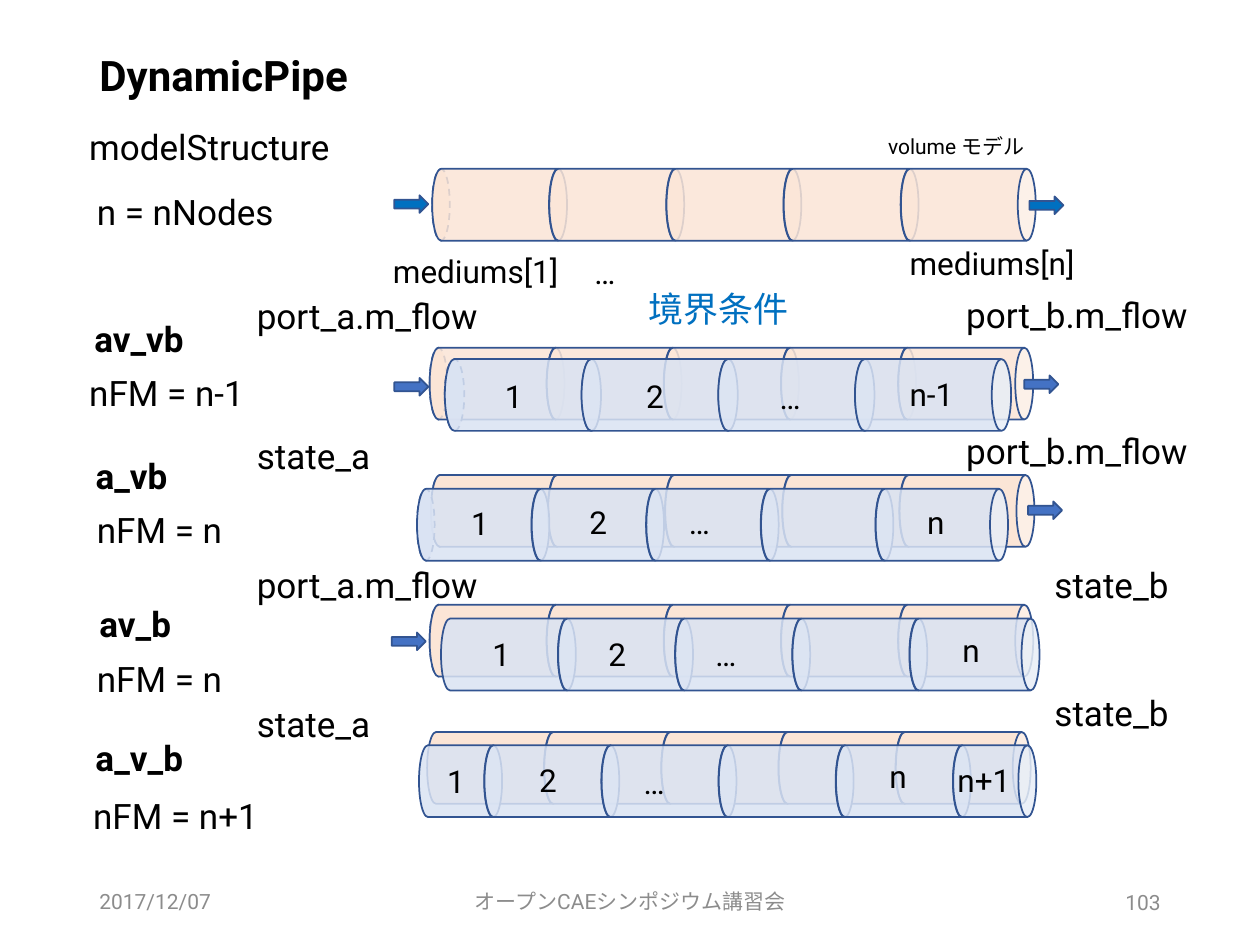
from dataclasses import dataclass

from lxml import etree
from pptx import Presentation
from pptx import util as u
from pptx.dml.color import RGBColor
from pptx.enum import dml, shapes, text
from pptx.oxml import ns

BLACK = RGBColor(0x00, 0x00, 0x00)
GREY = RGBColor(0x8C, 0x8C, 0x8C)
BLUE = RGBColor(0x00, 0x70, 0xC0)
ARROW_BLUE = RGBColor(0x44, 0x72, 0xC4)
OUTLINE = RGBColor(0x32, 0x54, 0x91)
VOLUME = RGBColor(0xFB, 0xE5, 0xD6)
FLOW = RGBColor(0xDA, 0xE3, 0xF3)

# Grid of 100 columns by 75 rows
WIDTH, HEIGHT = u.Inches(10), u.Inches(7.5)
COL, ROW = WIDTH // 100, HEIGHT // 75
PIPE = 5.7           # pipe diameter in rows
CAP = 1.4            # width of a pipe's end ellipse in columns
VOLUMES = [10.7] * 5
CENTER, RIGHT = text.PP_ALIGN.CENTER, text.PP_ALIGN.RIGHT


@dataclass
class Case:
    """One modelStructure option; offsets are rows from the pipe's top."""
    name: tuple           # text, column, offset
    equation: tuple
    inlet: tuple
    outlet: tuple
    top: float
    left: float
    flow_left: float
    flow_drop: float
    flow_lengths: list
    numbers: list         # text, column, offset
    arrows: list          # column, offset
    volume_alpha: int = 100
    flow_cap: float = CAP
    volume_back: bool = True
    flow_back: bool = True


CASES = [
    Case(("av_vb", 6.5, -2.9), ("nFM = n-1", 6.1, 1.4),
         ("port_a.m_flow", 19.4, -4.7), ("port_b.m_flow", 75.7, -4.8),
         27.6, 34.1, 35.3, 0.9, [12.4] * 4,
         [("1", 39.1, 1.8), ("2", 50.3, 1.8), ("…", 60.9, 1.9),
          ("n-1", 71.2, 1.7)],
         [(31.3, 2.4), (81.3, 2.2)], volume_alpha=85, flow_cap=1.55),
    Case(("a_vb", 6.6, -2.1), ("nFM = n", 6.7, 2.2),
         ("state_a", 19.4, -3.7), ("port_b.m_flow", 75.7, -4.1),
         37.7, 34.2, 33.1, 1.1, [10.5] * 5,
         [("1", 36.4, 1.8), ("2", 45.8, 1.7), ("…", 53.7, 1.7),
          ("n", 72.6, 1.7)],
         [(81.6, 2.1)]),
    Case(("av_b", 6.9, -0.7), ("nFM = n", 6.7, 3.7),
         ("port_a.m_flow", 19.4, -3.8), ("state_b", 82.7, -3.8),
         48, 34.1, 35, 1.1, [10.7] * 4 + [10.3],
         [("1", 38.1, 1.9), ("2", 47.3, 1.9), ("…", 55.8, 1.9),
          ("n", 75.4, 1.6)],
         [(31.1, 2.2)], flow_back=False),
    Case(("a_v_b", 6.6, -0.1), ("nFM = n+1", 6.4, 4.5),
         ("state_a", 19.4, -2.8), ("state_b", 82.7, -3.7),
         58.1, 33.9, 33.25, 1.05, [6.6] + [10.7] * 4 + [6.6],
         [("1", 34.5, 1.9), ("2", 41.8, 1.8), ("…", 50.1, 2),
          ("n", 69.6, 1.5), ("n+1", 75, 1.8)],
         [], volume_back=False, flow_back=False),
]


def label_cols(words, size):
    """Columns a one-line label needs; Japanese letters are a full em wide."""
    ems = sum(1.08 if letter >= "\u3000" else 0.58 for letter in words)
    return ems * size * 10 / 72 + 2


def add_label(slide, words, col, row, size=20, color=BLACK, bold=False,
              box=None, align=None, anchor=text.MSO_ANCHOR.TOP):
    """Text at a grid position; it wraps only when a box size is given."""
    cols, rows = box or (label_cols(words, size), size * 0.16 + 1.1)
    label = slide.shapes.add_textbox(int(col * COL), int(row * ROW),
                                     int(cols * COL), int(rows * ROW))
    frame = label.text_frame
    frame.word_wrap = box is not None
    frame.vertical_anchor = anchor
    paragraph = frame.paragraphs[0]
    paragraph.text = words
    if align is not None:
        paragraph.alignment = align
    font = paragraph.font
    font.name, font.size, font.bold = "Roboto", u.Pt(size), bold
    font.color.rgb = color
    return paragraph


def add_solid(parent, kind, col, row, cols, rows, fill, alpha=100):
    solid = parent.shapes.add_shape(kind, int(col * COL), int(row * ROW),
                                    int(cols * COL), int(rows * ROW))
    solid.shadow.inherit = False
    solid.fill.solid()
    solid.fill.fore_color.rgb = fill
    if alpha < 100:
        color = solid.fill._xPr.find(".//" + ns.qn("a:srgbClr"))
        etree.SubElement(color, ns.qn("a:alpha"), val=str(alpha * 1000))
    solid.line.color.rgb = OUTLINE
    solid.line.width = u.Pt(1)
    return solid


def add_pipe(slide, left, top, lengths, fill, alpha, cap=CAP, back=True):
    """Lying cans, each overlapping the one before by the end ellipse."""
    pipe = slide.shapes.add_group_shape()
    if back:
        hidden_end = add_solid(pipe, shapes.MSO_SHAPE.OVAL, left, top,
                               cap, PIPE, fill, alpha)
        hidden_end.line.dash_style = dml.MSO_LINE.DASH
    for length in lengths:
        # Unrotated box around the same centre as the lying can
        shift = (length - PIPE) / 2
        can = add_solid(pipe, shapes.MSO_SHAPE.CAN, left + shift, top - shift,
                        PIPE, length, fill, alpha)
        can.adjustments[0] = round(cap / PIPE, 2)
        can.rotation = 90
        left += length - cap


def add_arrow(slide, col, row, fill):
    add_solid(slide, shapes.MSO_SHAPE.RIGHT_ARROW, col, row, 2.7, 1.4, fill)


def add_heading(slide):
    """Title and the reference pipe with its volumes."""
    title = add_label(slide, "DynamicPipe", 6.9, 3.9, 24, bold=True,
                      box=(86.2, 5.5))
    title.line_spacing = 0.9
    add_label(slide, "modelStructure", 6.1, 9.5)
    add_label(slide, "n = nNodes", 6.7, 14.6)
    add_label(slide, "volume モデル", 69.5, 10.1, 12)
    add_pipe(slide, 34.3, 13.4, VOLUMES, VOLUME, 85)
    add_arrow(slide, 31.3, 15.5, BLUE)
    add_arrow(slide, 81.7, 15.6, BLUE)
    for words, col, row in [("mediums[1]", 30.2, 19.5), ("…", 46.2, 19.6),
                            ("mediums[n]", 71.2, 18.9)]:
        add_label(slide, words, col, row, 18)
    add_label(slide, "境界条件", 50.5, 22.3, color=BLUE)


def add_case(slide, case):
    """Volume pipe, flow-model pipe in front, and their labels."""
    add_pipe(slide, case.left, case.top, VOLUMES, VOLUME, case.volume_alpha,
             back=case.volume_back)
    add_pipe(slide, case.flow_left, case.top + case.flow_drop,
             case.flow_lengths, FLOW, 85, case.flow_cap, case.flow_back)
    for col, offset in case.arrows:
        add_arrow(slide, col, case.top + offset, ARROW_BLUE)
    for words, col, offset in case.numbers:
        add_label(slide, words, col, case.top + offset, 18)
    for part in (case.name, case.equation, case.inlet, case.outlet):
        words, col, offset = part
        add_label(slide, words, col, case.top + offset, bold=part is case.name)


def add_footer(slide):
    for words, col, row, cols, align in [
            ("2017/12/07", 6.9, 69.5, 22.5, None),
            ("オープンCAEシンポジウム講習会", 33.1, 69.5, 33.8, CENTER),
            ("103", 70.6, 69.6, 22.5, RIGHT)]:
        add_label(slide, words, col, row, 12, GREY, box=(cols, 4),
                  align=align, anchor=text.MSO_ANCHOR.MIDDLE)


def main():
    deck = Presentation()
    deck.slide_width, deck.slide_height = WIDTH, HEIGHT
    slide = deck.slides.add_slide(deck.slide_layouts[6])
    add_heading(slide)
    for case in CASES:
        add_case(slide, case)
    add_footer(slide)
    deck.save("out.pptx")


if __name__ == "__main__":
    main()
